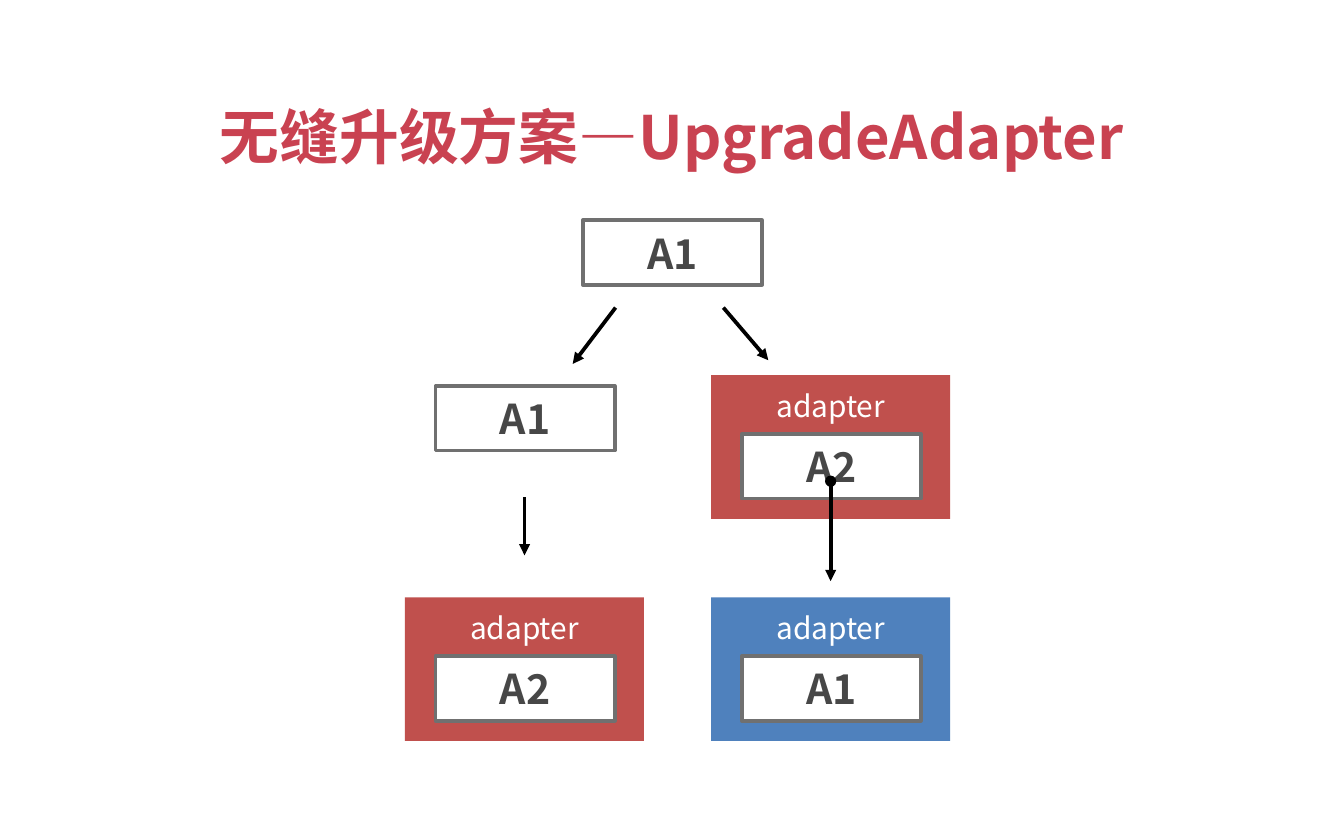
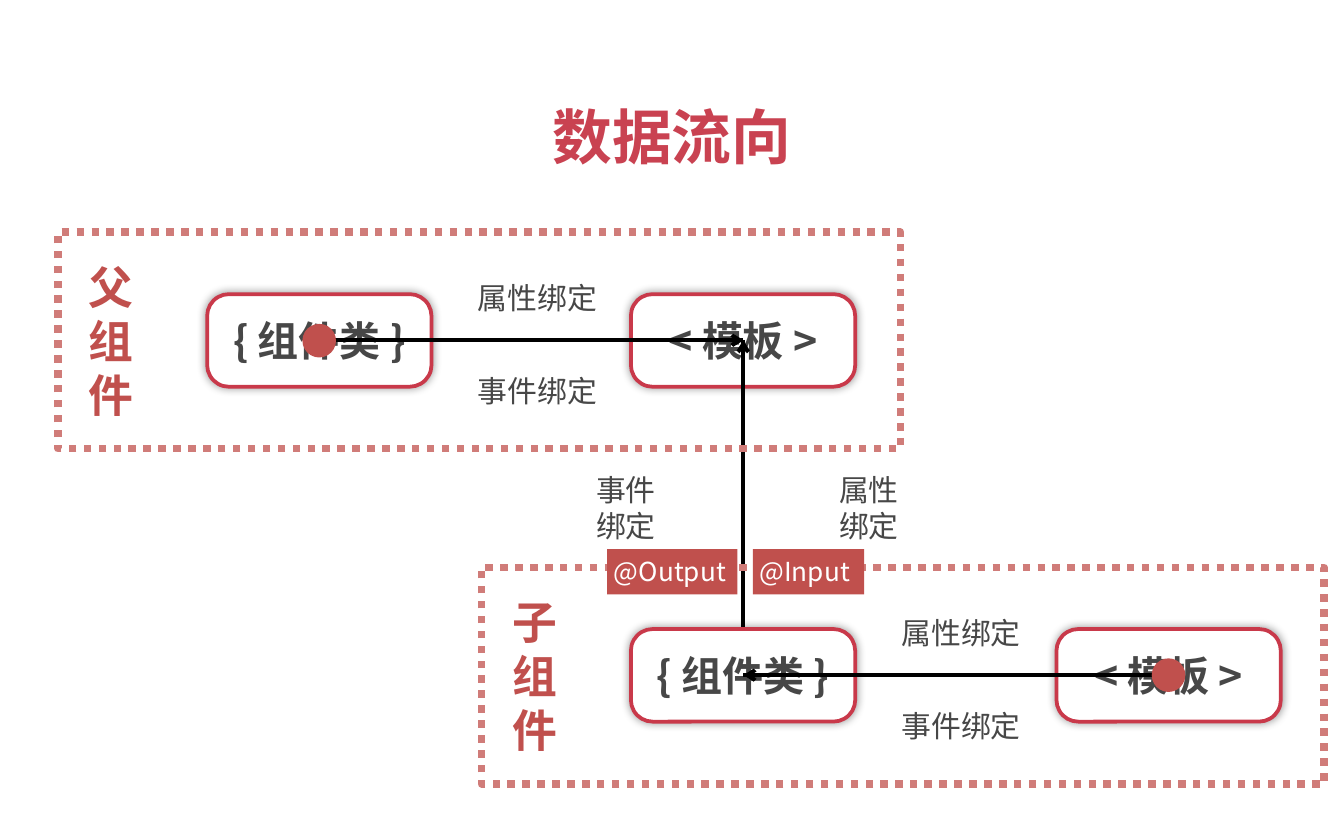
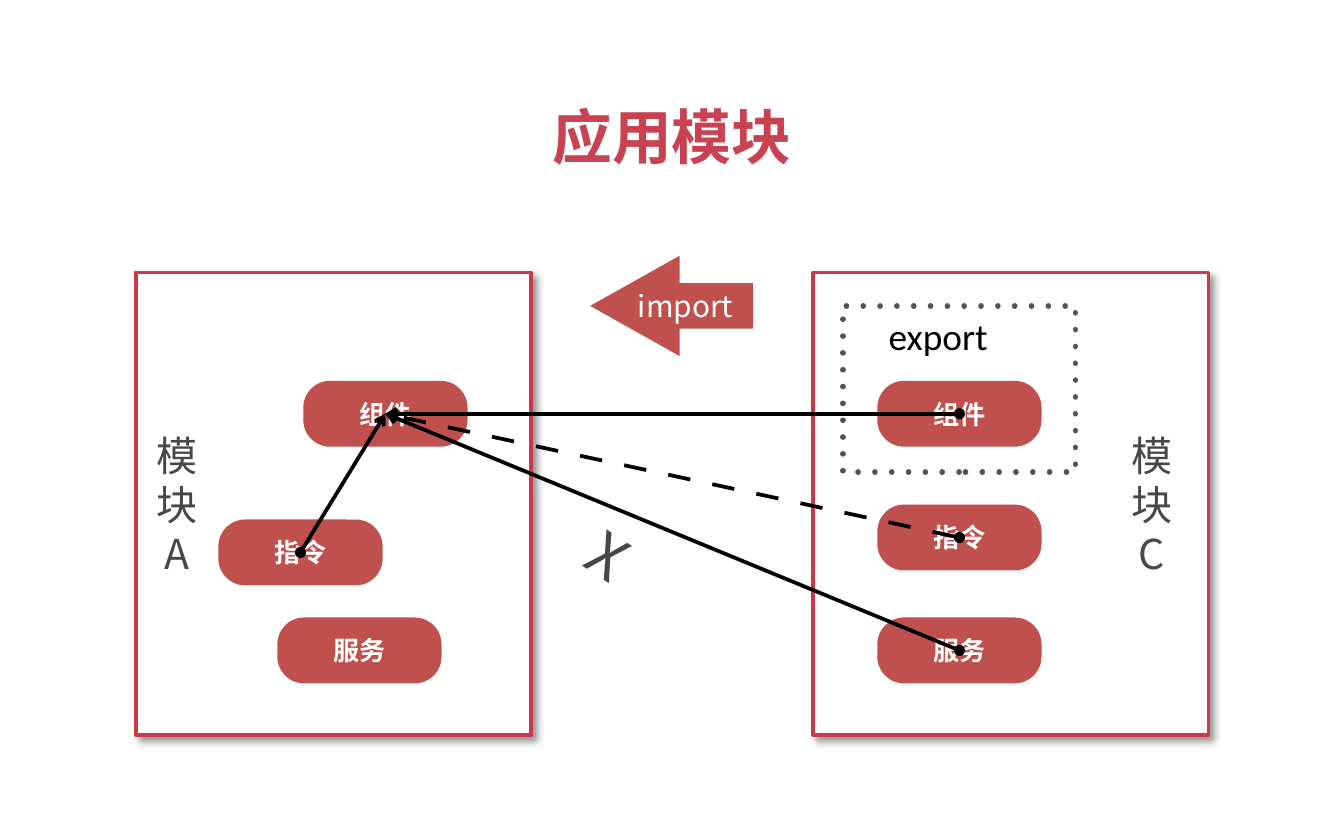
from lxml.etree import SubElement
from pptx import Presentation
from pptx.dml.color import RGBColor
from pptx.enum.dml import MSO_LINE as Dash
from pptx.enum.shapes import MSO_CONNECTOR as Connector, MSO_SHAPE as Preset
from pptx.enum.text import MSO_ANCHOR as Anchor, MSO_AUTO_SIZE as AutoSize, PP_ALIGN as Align
from pptx.oxml.ns import qn
from pptx.util import Pt

FONT = "Noto Sans CJK SC"
BLACK = RGBColor(0x00, 0x00, 0x00)
WHITE = RGBColor(0xFF, 0xFF, 0xFF)
TEXT_GRAY = RGBColor(0x47, 0x47, 0x47)
NODE_GRAY = RGBColor(0x70, 0x70, 0x70)
DOT_GRAY = RGBColor(0x53, 0x53, 0x53)
TITLE_RED = RGBColor(0xC9, 0x42, 0x51)
BORDER_RED = RGBColor(0xC9, 0x39, 0x4A)
FILL_RED = RGBColor(0xC0, 0x50, 0x4D)
FRAME_RED = RGBColor(0xD0, 0x7C, 0x79)
BLUE = RGBColor(0x4F, 0x81, 0xBD)
INSET = 3.6
PILL_WIDTH, PILL_HEIGHT = 88, 35.3


def write(shape, text, size=16, color=TEXT_GRAY, bold=False, font=FONT,
          align=Align.CENTER, anchor=Anchor.MIDDLE, right_inset=INSET):
    frame = shape.text_frame
    frame.word_wrap = True
    frame.auto_size = AutoSize.NONE
    frame.vertical_anchor = anchor
    frame.margin_left = frame.margin_top = frame.margin_bottom = Pt(INSET)
    frame.margin_right = Pt(right_inset)
    frame.text = text
    for paragraph in frame.paragraphs:
        paragraph.alignment = align
        for run in paragraph.runs:
            run.font.size = Pt(size)
            run.font.bold = bold
            run.font.name = font
            run.font.color.rgb = color
            SubElement(run.font._element, qn("a:ea"), typeface=FONT)


def add_titled_slide(presentation, title):
    slide = presentation.slides.add_slide(presentation.slide_layouts[5])
    shape = slide.shapes.title
    shape.left, shape.top, shape.width, shape.height = Pt(36), Pt(39), Pt(648), Pt(67.5)
    write(shape, title, size=32, color=TITLE_RED, bold=True)
    return slide


def add_label(slide, text, left, top, width, height, **style):
    label = slide.shapes.add_textbox(Pt(left), Pt(top), Pt(width), Pt(height))
    write(label, text, **style)
    return label


def add_box(slide, left, top, width, height, preset=Preset.RECTANGLE,
            fill=None, border=None, border_width=2):
    box = slide.shapes.add_shape(preset, Pt(left), Pt(top), Pt(width), Pt(height))
    box.shadow.inherit = False
    if fill is None:
        box.fill.background()
    else:
        box.fill.solid()
        box.fill.fore_color.rgb = fill
    if border is None:
        box.line.fill.background()
    else:
        box.line.color.rgb = border
        box.line.width = Pt(border_width)
    return box


def add_shadow(box, blur, distance=0, angle=0):
    effects = box._element.spPr.find(qn("a:effectLst"))
    shadow = SubElement(effects, qn("a:outerShdw"), blurRad=str(Pt(blur)),
                        dist=str(Pt(distance)), dir=str(angle * 60000), rotWithShape="0")
    color = SubElement(shadow, qn("a:srgbClr"), val=str(BLACK))
    SubElement(color, qn("a:alpha"), val="40000")


def set_custom_dash(shape, dash, gap):
    pattern = SubElement(shape.get_or_add_ln(), qn("a:custDash"))
    SubElement(pattern, qn("a:ds"), d=str(dash * 100000), sp=str(gap * 100000))


def add_arrow(slide, start, end, head=None, tail="arrow", dash=None):
    points = [Pt(value) for value in (*start, *end)]
    arrow = slide.shapes.add_connector(Connector.STRAIGHT, *points)
    arrow.line.color.rgb = BLACK
    arrow.line.width = Pt(2)
    if dash:
        set_custom_dash(arrow, *dash)
    line = arrow.get_or_add_ln()
    if head:
        SubElement(line, qn("a:headEnd"), type=head)
    SubElement(line, qn("a:tailEnd"), type=tail)
    SubElement(arrow._element.spPr, qn("a:effectLst"))


def add_two_way(slide, start, end):
    add_arrow(slide, start, end)
    add_arrow(slide, end, start)


def add_node(slide, name, left, top):
    node = add_box(slide, left, top, 96, 34.6, fill=WHITE, border=NODE_GRAY)
    write(node, name, size=22, bold=True)


def add_adapter(slide, name, left, top, fill):
    add_box(slide, left, top, 128, 77, fill=fill)
    add_label(slide, "adapter", left + 27.3, top + 3, 73.4, 26, color=WHITE)
    add_node(slide, name, left + 16.3, top + 31.5)


def add_part(slide, text, left, top):
    part = add_box(slide, left, top, 120.2, 49.6, Preset.ROUNDED_RECTANGLE, WHITE, BORDER_RED)
    part.adjustments[0] = 0.235
    add_shadow(part, blur=5)
    write(part, text, size=22, bold=True)


def add_component(slide, left, top, template_gap):
    template_left = left + template_gap
    add_part(slide, "< 模板 >", template_left, top)
    add_part(slide, "{ 组件类 }", left, top)
    middle = top + 24.7
    add_two_way(slide, (left + 60.3, middle), (template_left + 60.3, middle))
    for text, offset in (("属性绑定", -13), ("事件绑定", 37)):
        add_label(slide, text, left + 124.5, top + offset, 105, 29.5)


def add_component_frame(slide, name, left, top):
    frame = add_box(slide, left, top, 451.4, 116, border=FRAME_RED, border_width=4)
    frame.line.dash_style = Dash.ROUND_DOT
    add_label(slide, name, left + 6.5, top + 4.7, 44, 106.6, size=24, color=FILL_RED, bold=True)


def add_module(slide, left):
    module = add_box(slide, left, 146, 211.7, 247.7, fill=WHITE, border=BORDER_RED)
    add_shadow(module, blur=4, distance=3, angle=45)


def add_pill(slide, text, left, top):
    pill = add_box(slide, left, top, PILL_WIDTH, PILL_HEIGHT, Preset.ROUNDED_RECTANGLE, FILL_RED)
    pill.adjustments[0] = 0.408
    write(pill, text, size=14, color=WHITE, bold=True, font="Arial")


def pill_center(left, top):
    return left + PILL_WIDTH / 2, top + PILL_HEIGHT / 2


def build_upgrade_slide(presentation):
    slide = add_titled_slide(presentation, "无缝升级方案—UpgradeAdapter")
    add_node(slide, "A1", 312.2, 118)
    add_node(slide, "A1", 233.3, 206.8)
    add_adapter(slide, "A2", 381, 201, FILL_RED)
    add_adapter(slide, "A2", 217, 320, FILL_RED)
    add_adapter(slide, "A1", 381, 320, BLUE)
    add_arrow(slide, (329.8, 164.8), (306.8, 195), tail="triangle")
    add_arrow(slide, (387.5, 164.8), (411.6, 193), tail="triangle")
    add_arrow(slide, (281, 266.3), (281, 297.5), tail="triangle")
    add_arrow(slide, (445, 257.8), (445, 311.3), head="oval", tail="triangle")


def build_data_flow_slide(presentation):
    slide = add_titled_slide(presentation, "数据流向")
    add_component(slide, 111, 157.6, 227)
    add_two_way(slide, (398.2, 361.6), (398.2, 182.3))
    for text, left in (("事件\n绑定", 300.3), ("属性\n绑定", 430.5)):
        add_label(slide, text, left, 246.4, 70, 51)
    add_component_frame(slide, "父组件", 31, 124.4)
    add_component(slide, 338, 337, 228)
    add_component_frame(slide, "子组件", 258, 304)
    for text, left, width in (("@Output", 325.3, 69.7), ("@Input", 403.3, 59.6)):
        tag = add_box(slide, left, 294.2, width, 24.3, fill=FILL_RED)
        write(tag, text, size=14, color=WHITE, align=Align.LEFT, anchor=Anchor.TOP)
    for left, top in ((162, 173.5), (617, 352.7)):
        add_box(slide, left, top, 18, 18, Preset.OVAL, FILL_RED)


def build_module_slide(presentation):
    slide = add_titled_slide(presentation, "应用模块")
    for left in (435.7, 72.7):
        add_module(slide, left)
    for text, left in (("模块A", 76.3), ("模块C", 598.2)):
        add_label(slide, text, left, 210.2, 37.5, 119.5, size=22)

    import_arrow = add_box(slide, 316.2, 137, 87.3, 53.8, Preset.LEFT_ARROW, FILL_RED)
    import_arrow.adjustments[0] = 0.452
    import_arrow.adjustments[1] = 0.891
    add_label(slide, "import", 333.4, 150.5, 67.7, 26, color=WHITE)

    export = add_box(slide, 451.5, 164, 124.6, 89, border=DOT_GRAY, border_width=3)
    set_custom_dash(export, 1, 2)
    export.get_or_add_ln().set("cap", "rnd")
    write(export, "export", size=20, color=BLACK, font="Calibri",
          anchor=Anchor.TOP, right_inset=26)

    component, directive, service = (162.5, 204), (117, 278.3), (148.6, 330.8)
    shared_component, shared_directive, shared_service = (
        (470, top) for top in (204, 270.3, 330.8))
    for text, places in (("组件", (component, shared_component)),
                         ("指令", (directive, shared_directive)),
                         ("服务", (service, shared_service))):
        for place in places:
            add_pill(slide, text, *place)

    for source, dash in ((shared_component, None), (shared_directive, (6, 6)),
                         (directive, None), (shared_service, None)):
        add_arrow(slide, pill_center(*source), pill_center(*component), head="oval", dash=dash)
    cross = add_label(slide, "X", 305.3, 274.3, 41.8, 45.4, size=32)
    cross.rotation = 33.2


def main():
    presentation = Presentation()
    presentation.slide_width, presentation.slide_height = Pt(720), Pt(450)
    build_upgrade_slide(presentation)
    build_data_flow_slide(presentation)
    build_module_slide(presentation)
    presentation.save("out.pptx")


if __name__ == "__main__":
    main()
